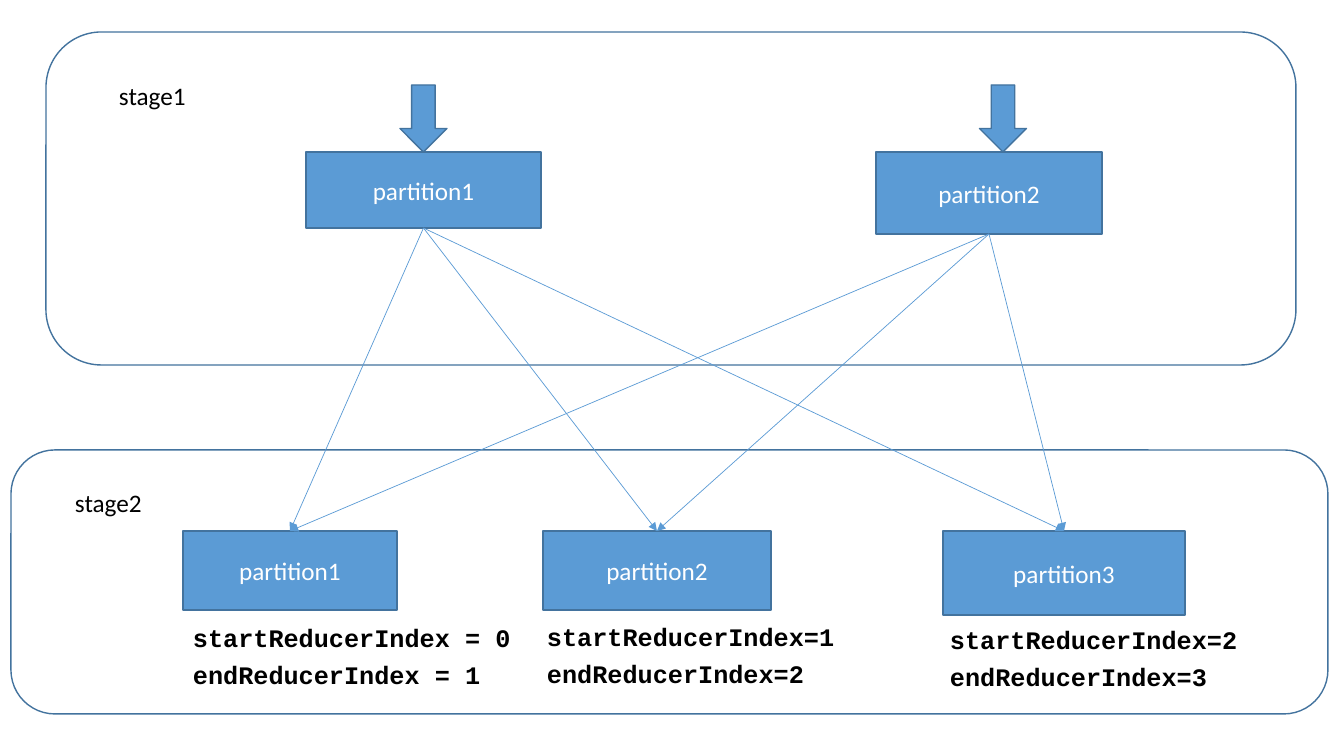
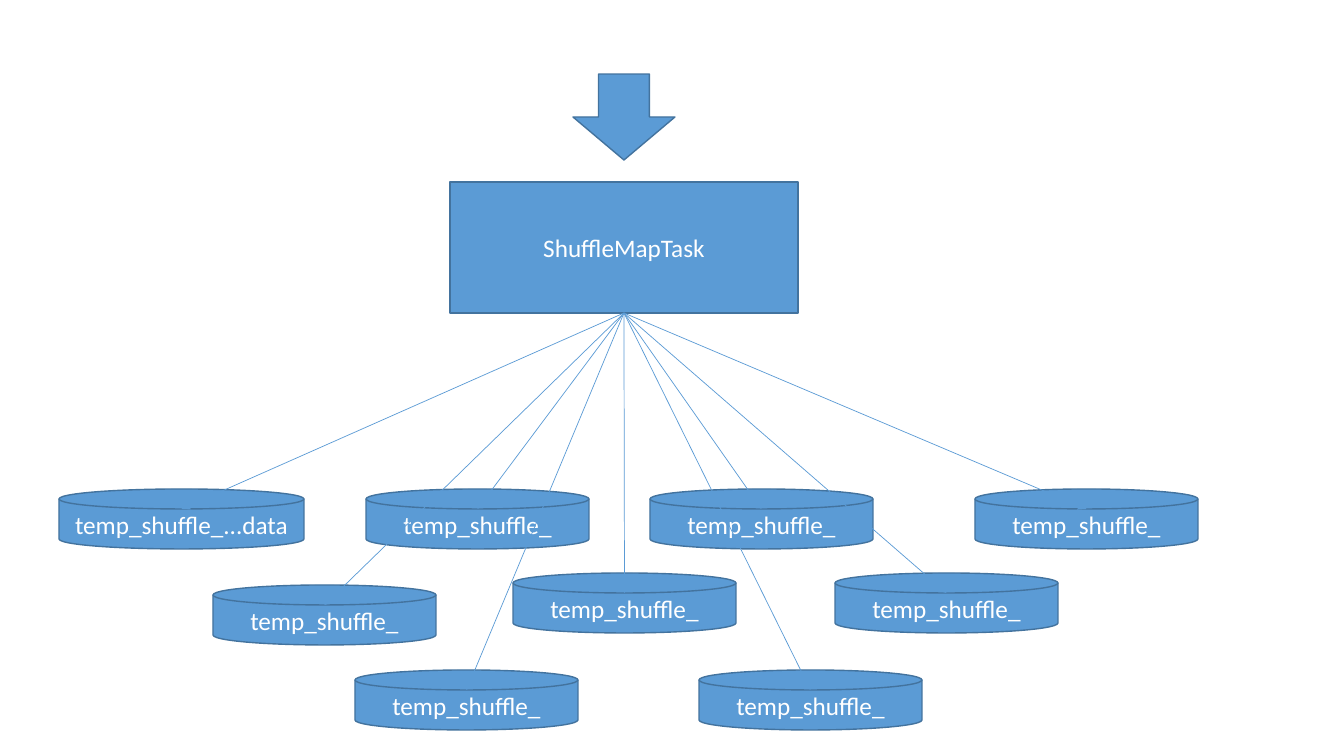
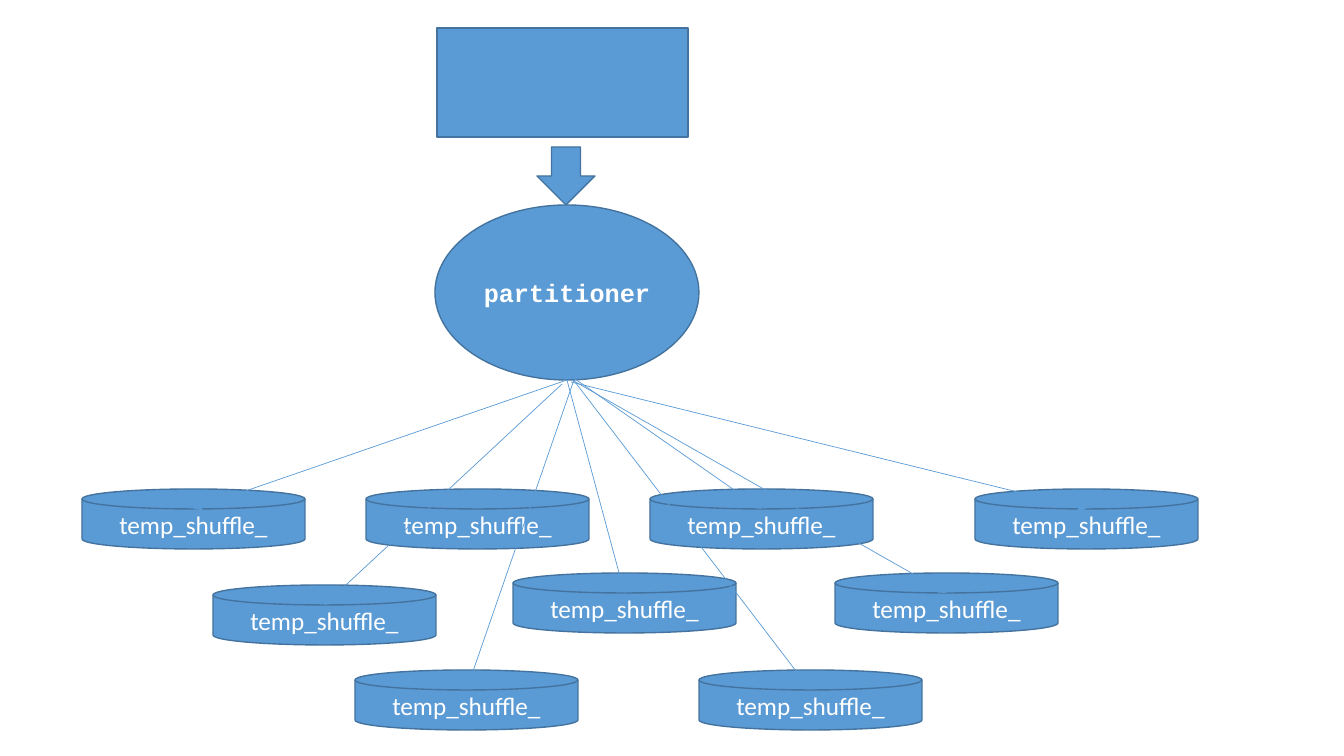
from dataclasses import dataclass
from typing import NamedTuple

from lxml.etree import SubElement
from pptx import Presentation
from pptx.dml.color import RGBColor
from pptx.enum.shapes import MSO_CONNECTOR as Connector, MSO_SHAPE as Shape
from pptx.enum.text import MSO_ANCHOR as Anchor, MSO_AUTO_SIZE as AutoSize, PP_ALIGN as Align
from pptx.oxml.ns import qn
from pptx.util import Inches, Pt

PIXELS_PER_INCH = 100.8


@dataclass(frozen=True)
class Theme:
    """Colours, fonts and sizes shared by all slides."""
    fill: RGBColor = RGBColor(0x5B, 0x9B, 0xD5)
    outline: RGBColor = RGBColor(0x43, 0x73, 0x9E)
    light: RGBColor = RGBColor(0xFF, 0xFF, 0xFF)
    dark: RGBColor = RGBColor(0, 0, 0)
    sans: str = "Calibri"
    mono: str = "Courier New"
    text_size: int = 18
    outline_width: float = 1
    link_width: float = 0.5


class Box(NamedTuple):
    """A rectangle in pixels."""
    left: float
    top: float
    width: float
    height: float

    def inner(self, dx, dy, width, height):
        """Return a box placed from this box's top left corner."""
        return Box(self.left + dx, self.top + dy, width, height)

    def emu(self):
        """Return the four lengths in EMU."""
        return [px(length) for length in self]


THEME = Theme()
LABEL_HEIGHT = 40
LABEL_STEP = 37
MONO_ADVANCE = 15.12
LABEL_PADDING = 22
DISK_SIZE = (223, 60)
DISK_TEXT = "temp_shuffle_"
# Offsets of the disks after the first one, from the fan's top left corner
DISK_OFFSETS = [(307, 0), (591, 0), (916, 0), (154, 96), (454, 84),
                (776, 84), (296, 181), (640, 181)]


def px(length):
    """Turn pixels into EMU."""
    return round(length * Inches(1) / PIXELS_PER_INCH)


def style_text(frame, text, color, mono=False):
    """Write one line of text and format its run."""
    frame.text = text
    font = frame.paragraphs[0].runs[0].font
    font.name = THEME.mono if mono else THEME.sans
    font.size = Pt(THEME.text_size)
    font.bold = mono
    font.color.rgb = color


def add_block(slide, kind, box, text="", mono=False, filled=True):
    """Add an outlined shape with optional centred text."""
    block = slide.shapes.add_shape(kind, *box.emu())
    block.shadow.inherit = False
    if filled:
        block.fill.solid()
        block.fill.fore_color.rgb = THEME.fill
    else:
        block.fill.background()
    block.line.color.rgb = THEME.outline
    block.line.width = Pt(THEME.outline_width)
    if text:
        frame = block.text_frame
        frame.word_wrap = True
        frame.vertical_anchor = Anchor.MIDDLE
        style_text(frame, text, THEME.light, mono)
        frame.paragraphs[0].alignment = Align.CENTER
    return block


def add_label(slide, box, text, mono=False):
    """Add a dark one-line label that does not wrap."""
    frame = slide.shapes.add_textbox(*box.emu()).text_frame
    frame.word_wrap = False
    frame.auto_size = AutoSize.SHAPE_TO_FIT_TEXT
    style_text(frame, text, THEME.dark, mono)


def add_link(slide, start, target):
    """Add a thin arrow from an EMU point to the top of a target shape."""
    link = slide.shapes.add_connector(Connector.STRAIGHT, *start, *start)
    link.end_connect(target, 0)
    link.line.color.rgb = THEME.fill
    link.line.width = Pt(THEME.link_width)
    SubElement(link.line._get_or_add_ln(), qn("a:tailEnd"), type="triangle")
    SubElement(link._element.spPr, qn("a:effectLst"))
    return link


def bottom_centre(shape):
    """Return the EMU point in the middle of a shape's lower edge."""
    return shape.left + shape.width // 2, shape.top + shape.height


def add_stage(slide, box, title, title_offset, partition_offsets):
    """Add a stage frame with numbered partitions; return shapes and boxes."""
    add_block(slide, Shape.ROUNDED_RECTANGLE, box, filled=False)
    add_label(slide, box.inner(*title_offset, 88, LABEL_HEIGHT), title)
    spots = [box.inner(*offset) for offset in partition_offsets]
    partitions = [add_block(slide, Shape.RECTANGLE, spot, f"partition{number}")
                  for number, spot in enumerate(spots, 1)]
    return partitions, spots


def add_input_arrow(slide, partition, shift):
    """Add the arrow that stands on a partition, shifted from its centre."""
    width, height = 47, 67
    left = (partition.width - width) / 2 + shift
    add_block(slide, Shape.DOWN_ARROW, partition.inner(left, -height, width, height))


def add_index_range(slide, partition, offset, lines):
    """Add the reducer index lines below a partition."""
    dx, dy = offset
    for row, line in enumerate(lines):
        width = len(line) * MONO_ADVANCE + LABEL_PADDING
        add_label(slide, partition.inner(dx, partition.height + dy + row * LABEL_STEP,
                                         width, LABEL_HEIGHT), line, mono=True)


def add_disk_fan(slide, box, first_disk, first_text, origin, start_shifts):
    """Add the shuffle file disks and the links reaching them from an origin.

    start_shifts holds one pixel shift per disk, None where no link leads.
    """
    first_left, first_width = first_disk
    disks = [add_block(slide, Shape.FLOWCHART_MAGNETIC_DISK,
                       box.inner(first_left, 0, first_width, DISK_SIZE[1]), first_text)]
    disks += [add_block(slide, Shape.FLOWCHART_MAGNETIC_DISK,
                        box.inner(*offset, *DISK_SIZE), DISK_TEXT)
              for offset in DISK_OFFSETS]
    x, y = bottom_centre(origin)
    for disk, shift in zip(disks, start_shifts):
        if shift is not None:
            link = add_link(slide, (x + px(shift[0]), y + px(shift[1])), disk)
            link.end_y = disk.top + disk.height // 3


def build_stages(slide):
    """Show how the partitions of one stage feed those of the next."""
    sources, source_spots = add_stage(
        slide, Box(46, 32, 1250, 333), "stage1", (63, 43),
        [(260, 120, 235, 76), (830, 120, 226, 82)])
    targets, target_spots = add_stage(
        slide, Box(11, 450, 1317, 264), "stage2", (54, 32),
        [(172, 81, 214, 79), (532, 81, 228, 79), (932, 81, 242, 84)])
    for target in targets:
        for source in sources:
            link = add_link(slide, bottom_centre(source), target)
            link.begin_connect(source, 2)
    for spot, shift in zip(source_spots, (0, 14)):
        add_input_arrow(slide, spot, shift)
    ranges = [((0, 7), ("startReducerIndex = 0", "endReducerIndex = 1")),
              ((-6, 6), ("startReducerIndex=1", "endReducerIndex=2")),
              ((-3, 4), ("startReducerIndex=2", "endReducerIndex=3"))]
    for spot, (offset, lines) in zip(target_spots, ranges):
        add_index_range(slide, spot, offset, lines)


def build_map_task(slide, fan):
    """Show a map task writing its shuffle files."""
    add_block(slide, Shape.DOWN_ARROW, Box(573, 74, 102, 86))
    task = add_block(slide, Shape.RECTANGLE, Box(450, 182, 348, 131), "ShuffleMapTask")
    add_disk_fan(slide, fan, (0, 245), "temp_shuffle_...data", task, [(0, 0)] * 9)


def build_partitioner(slide, fan):
    """Show a partitioner spreading its input over shuffle files."""
    add_block(slide, Shape.RECTANGLE, Box(437, 28, 251, 109))
    add_block(slide, Shape.DOWN_ARROW, Box(537, 147, 58, 58))
    partitioner = add_block(slide, Shape.OVAL, Box(435, 205, 264, 175),
                            "partitioner", mono=True)
    shifts = [(0, 0), None, (8, -1), (4, 2), (-5, 4), (0, 0), (5, 0), (7, 0), (8, 2)]
    add_disk_fan(slide, fan, (23, DISK_SIZE[0]), DISK_TEXT, partitioner, shifts)


def main():
    """Build and save the presentation."""
    deck = Presentation()
    deck.slide_width, deck.slide_height = px(1344), px(756)
    blank = deck.slide_layouts[6]
    fan = Box(59, 489, 1139, 241)
    build_stages(deck.slides.add_slide(blank))
    build_map_task(deck.slides.add_slide(blank), fan)
    build_partitioner(deck.slides.add_slide(blank), fan)
    deck.save("out.pptx")


main()
